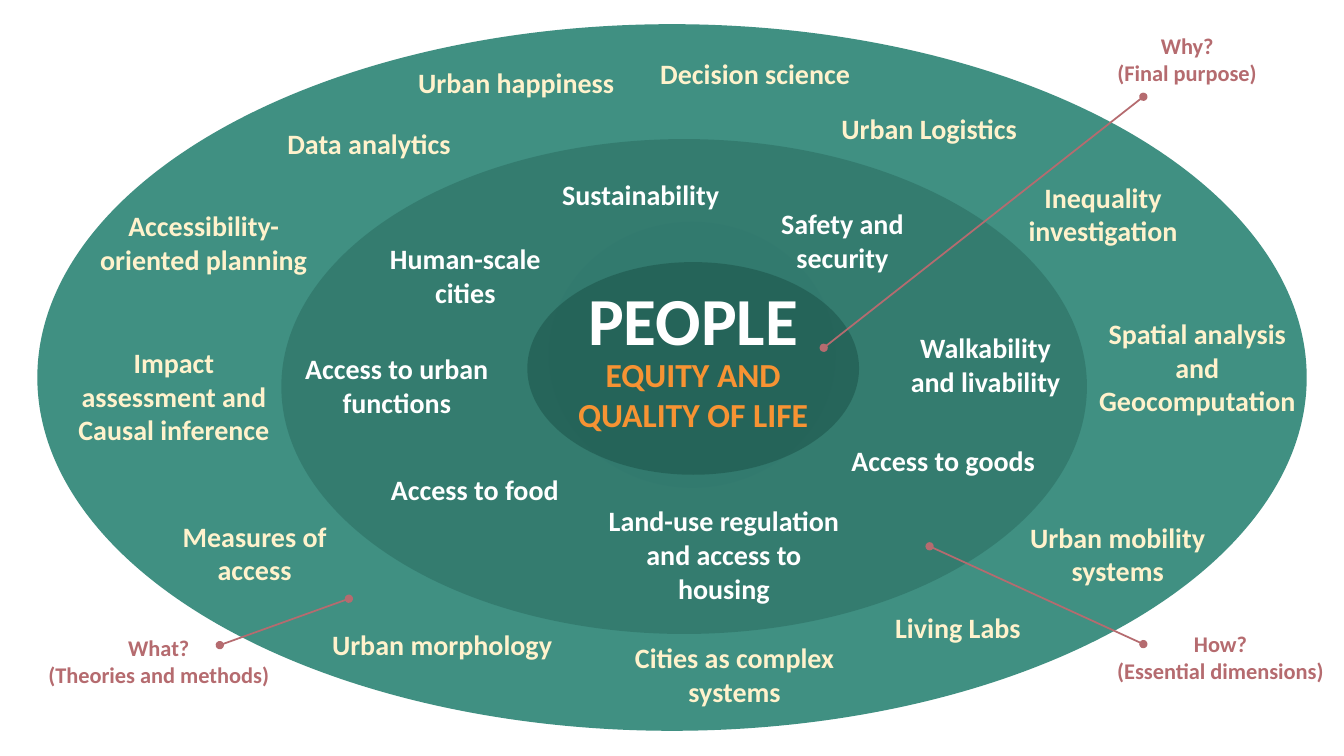
from lxml import etree
from pptx import Presentation
from pptx.dml.color import RGBColor
from pptx.enum import shapes, text
from pptx.oxml.ns import qn
from pptx.util import Inches, Pt

COLORS = {
    "glow": "6BA89E",
    "outer": "2C8475",
    "core": "1A4F46",
    "method": "FFF2CC",
    "dimension": "FFFFFF",
    "equity": "F79333",
    "callout": "B56B6F",
}

RINGS = [
    ("glow", 20, 5.44, 2.2, 2.85, 2.64),
    ("outer", 90, 0.37, 0.24, 12.59, 7.01),
    ("core", 30, 2.79, 1.38, 7.99, 4.91),
    ("core", 50, 5.23, 2.6, 3.29, 2.11),
]

METHODS = [
    ("Decision science", 6.09, 0.51, 2.8, 1),
    ("Urban happiness", 3.72, 0.6, 2.8, 1),
    ("Data analytics", 2.41, 1.21, 2.5, 1),
    ("Accessibility-oriented planning", 0.77, 2.02, 2.5, 2),
    ("Impact assessment and Causal inference", 0.53, 3.38, 2.39, 3),
    ("Measures of access", 1.33, 5.1, 2.39, 2),
    ("Urban morphology", 3.19, 6.18, 2.39, 1),
    ("Cities as complex systems", 6.09, 6.31, 2.39, 2),
    ("Urban mobility systems", 9.89, 5.11, 2.39, 2),
    ("Spatial analysis and Geocomputation", 10.79, 3.09, 2.17, 3),
    ("Inequality investigation", 9.69, 1.74, 2.5, 2),
    ("Urban Logistics", 7.74, 1.06, 2.95, 1),
]

DIMENSIONS = [
    ("Sustainability", 5.4, 1.71, 1.91, 1),
    ("Safety and security", 7.48, 2, 1.75, 2),
    ("Walkability and livability", 8.9, 3.23, 1.75, 2),
    ("Access to goods", 8.17, 4.35, 2.37, 1),
    ("Land-use regulation and access to housing", 5.93, 4.95, 2.5, 3),
    ("Access to food", 3.46, 4.64, 2.5, 1),
    ("Access to urban functions", 2.84, 3.44, 2.19, 2),
    ("Human-scale cities", 3.74, 2.35, 1.75, 2),
]

CALLOUTS = [
    (["Why?", "(Final purpose)"], (10.31, 0.27, 2.93), (8.17, 3.45), (11.34, 0.96)),
    (["How?", "(Essential dimensions)"], (10.39, 6.2, 3.43), (9.22, 5.42), (11.34, 6.39)),
    (["What?", "(Theories and methods)"], (0.22, 6.24, 2.71), (3.46, 5.94), (2.18, 6.4)),
]


class Diagram:
    font = "Calibri"
    label_size = 20
    line_height = 0.335
    padding = 0.1

    def __init__(self, slide):
        self.slide = slide

    def color(self, key):
        return RGBColor.from_string(COLORS[key])

    def ring(self, key, opacity, left, top, width, height):
        ellipse = self.slide.shapes.add_shape(
            shapes.MSO_SHAPE.OVAL, Inches(left), Inches(top), Inches(width), Inches(height))
        ellipse.shadow.inherit = False
        ellipse.fill.solid()
        ellipse.fill.fore_color.rgb = self.color(key)
        ellipse.line.fill.background()
        tint = ellipse.fill._xPr.find(qn("a:solidFill"))[0]
        etree.SubElement(tint, qn("a:alpha")).set("val", str(opacity * 1000))

    def words(self, lines, left, top, width, height, key, size,
              align=text.PP_ALIGN.CENTER, middle=False):
        box = self.slide.shapes.add_textbox(
            Inches(left), Inches(top), Inches(width), Inches(height))
        frame = box.text_frame
        frame.word_wrap = True
        if middle:
            frame.vertical_anchor = text.MSO_ANCHOR.MIDDLE
        else:
            frame.auto_size = text.MSO_AUTO_SIZE.SHAPE_TO_FIT_TEXT
        frame.text = "\n".join(lines)
        for paragraph in frame.paragraphs:
            paragraph.alignment = align
            paragraph.font.name = self.font
            paragraph.font.size = Pt(size)
            paragraph.font.bold = True
            paragraph.font.color.rgb = self.color(key)

    def label(self, wording, left, top, width, rows, key, align=text.PP_ALIGN.CENTER):
        height = self.padding + self.line_height * rows
        self.words([wording], left, top, width, height, key, self.label_size, align)

    def pointer(self, start, end):
        line = self.slide.shapes.add_connector(
            shapes.MSO_CONNECTOR.STRAIGHT, *map(Inches, start + end))
        line.line.color.rgb = self.color("callout")
        line.line.width = Pt(1.25)
        outline = line.line._get_or_add_ln()
        for tag in ("a:headEnd", "a:tailEnd"):
            etree.SubElement(outline, qn(tag)).set("type", "oval")
        etree.SubElement(line._element.spPr, qn("a:effectLst"))


def main():
    deck = Presentation()
    deck.slide_width, deck.slide_height = Inches(13.33), Inches(7.5)
    diagram = Diagram(deck.slides.add_slide(deck.slide_layouts[6]))

    for ring in RINGS:
        diagram.ring(*ring)
    for method in METHODS:
        diagram.label(*method, "method")
    diagram.label("Living Labs", 8.78, 6.01, 2.39, 1, "method", text.PP_ALIGN.LEFT)
    for dimension in DIMENSIONS:
        diagram.label(*dimension, "dimension")

    diagram.words(["PEOPLE"], 5.45, 2.74, 2.85, 0.85, "dimension", 48, middle=True)
    diagram.words(["EQUITY AND", "QUALITY OF LIFE"], 5.37, 3.24, 3.01, 1.34,
                  "equity", 24, middle=True)

    for lines, place, start, end in CALLOUTS:
        diagram.pointer(start, end)
        diagram.words(lines, *place, 0.64, "callout", 16)

    deck.save("out.pptx")


if __name__ == "__main__":
    main()
